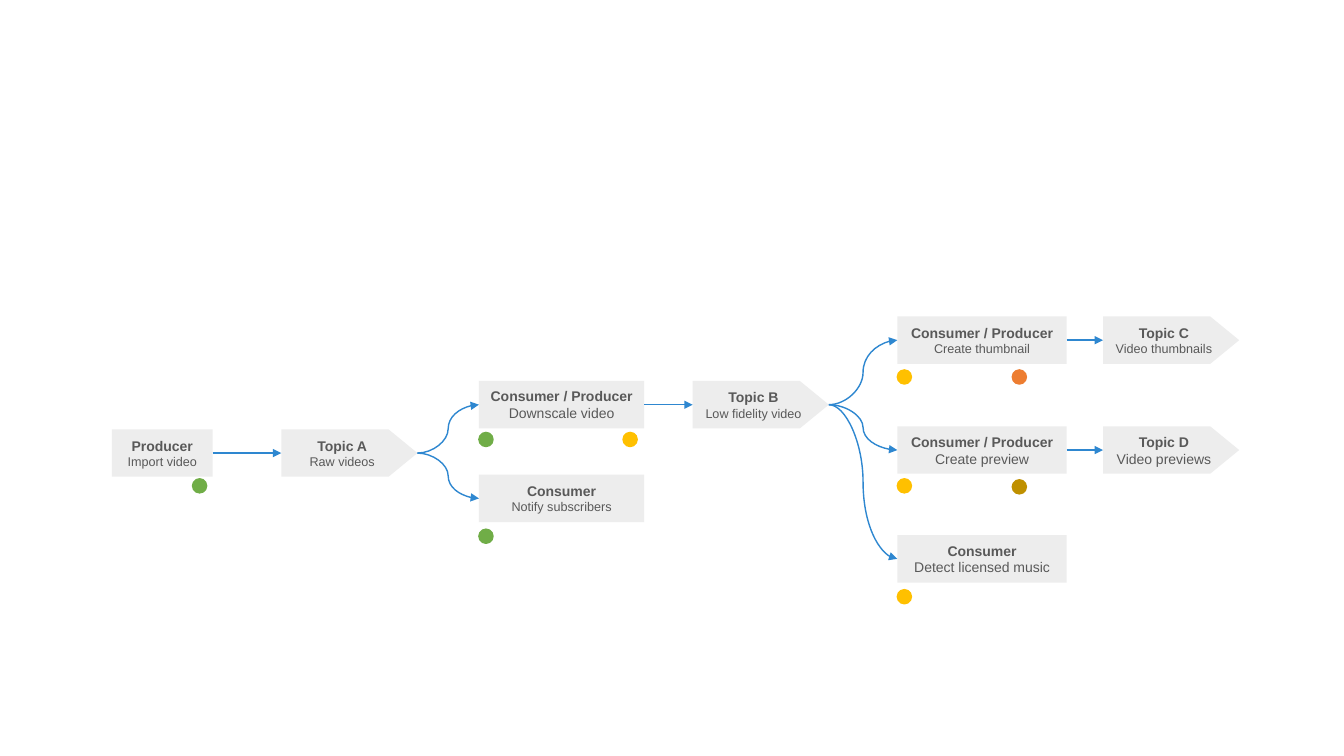
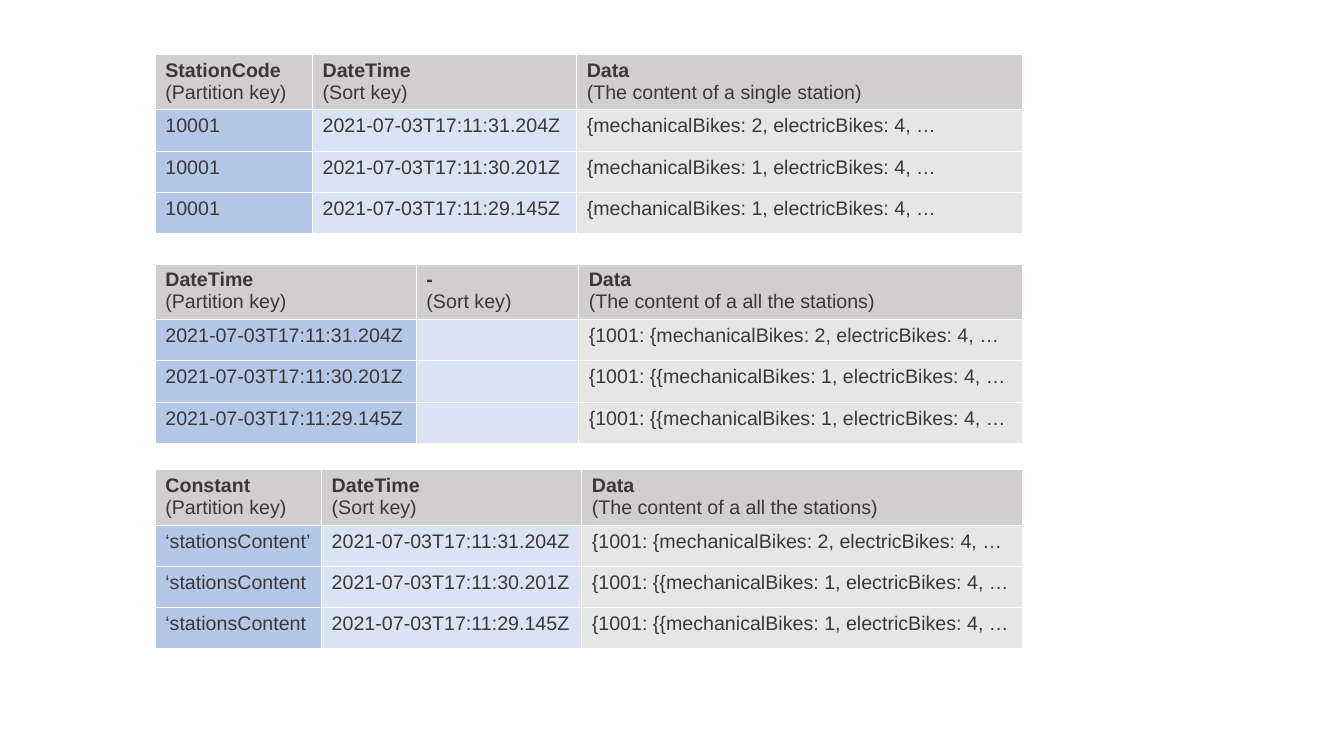
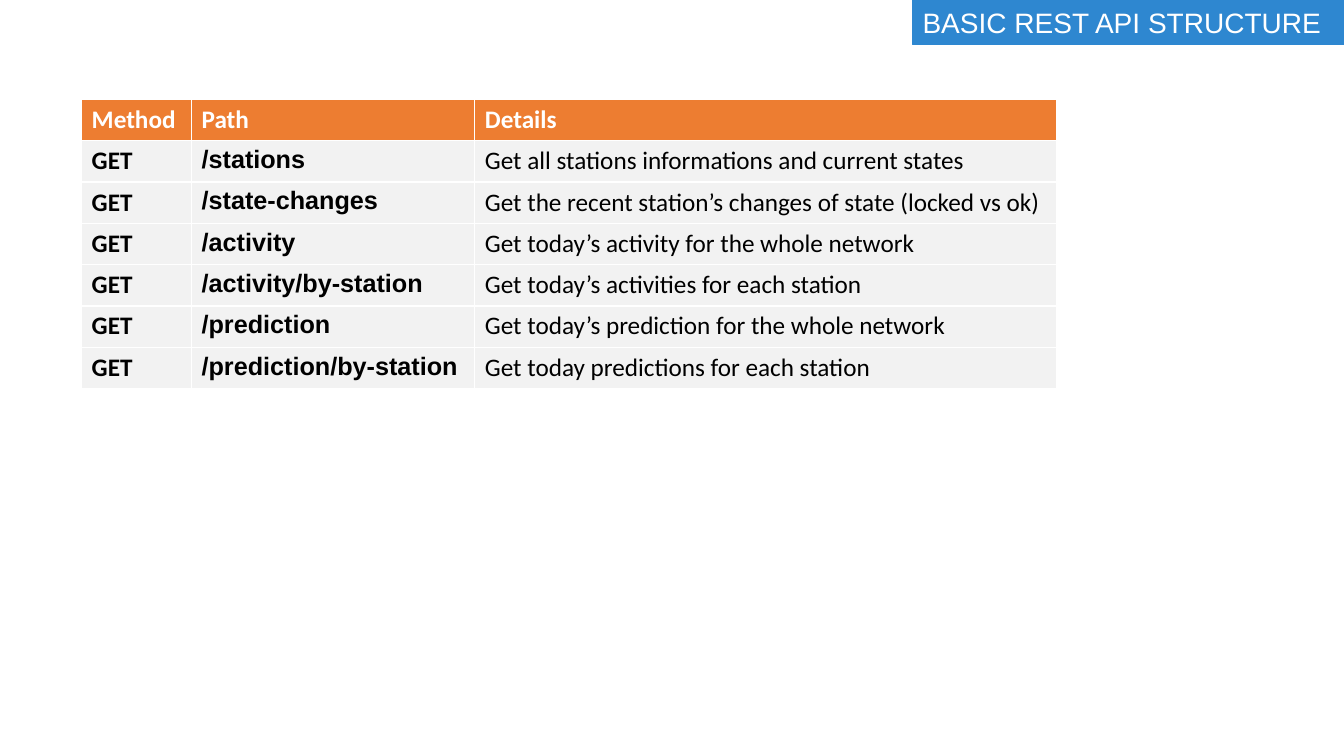
import pptx
import pptx.util
import pptx.dml.color
import pptx.enum.shapes
import pptx.enum.text
import pptx.oxml
import pptx.oxml.ns

Inches = pptx.util.Inches
Pt = pptx.util.Pt
SHAPE = pptx.enum.shapes.MSO_SHAPE
LINK = pptx.enum.shapes.MSO_CONNECTOR
ALIGN = pptx.enum.text.PP_ALIGN
ANCHOR = pptx.enum.text.MSO_ANCHOR

# Shared look
BLUE, ORANGE, WHITE, BLACK = "2E87D0", "ED7D31", "FFFFFF", "000000"
GREEN, GOLD, BROWN = "70AD47", "FFC000", "BF9000"
BOX, GRAY, DARK = "EDEDED", "595959", "3B3838"
HIGH = 0.47  # height of a flow box
ROW = 0.41   # height of a table row


def color(code):
    return pptx.dml.color.RGBColor.from_string(code)


def paint(shape, fill, edge=None):
    shape.fill.solid()
    shape.fill.fore_color.rgb = color(fill)
    if edge:
        shape.line.color.rgb = color(edge)
        shape.line.width = Pt(1)
    else:
        shape.line.fill.background()


def style(para, size, code, bold=False, face="Arial"):
    for run in para.runs:
        font = run.font
        font.name, font.size, font.bold = face, Pt(size), bold
        font.color.rgb = color(code)


# Flow diagram parts
def add_box(slide, kind, left, top, width, head, note, size):
    box = slide.shapes.add_shape(kind, Inches(left), Inches(top),
                                 Inches(width), Inches(HIGH))
    if kind == SHAPE.PENTAGON:
        box.adjustments[0] = 0.61
    box.shadow.inherit = False
    paint(box, BOX)
    frame = box.text_frame
    frame.word_wrap = True
    frame.vertical_anchor = ANCHOR.MIDDLE
    frame.text = head + "\n" + note
    for para, points, bold in zip(frame.paragraphs, (10, size), (True, False)):
        para.alignment = ALIGN.CENTER
        style(para, points, GRAY, bold)
    return box


def add_dot(slide, box, right, down, code):
    side = Inches(0.14)
    dot = slide.shapes.add_shape(SHAPE.OVAL, box.left + Inches(right),
                                 box.top + Inches(down), side, side)
    dot.shadow.inherit = False
    paint(dot, code, code)


def add_link(slide, start, end):
    # Straight on one level, curved between levels
    kind = LINK.STRAIGHT if start.top == end.top else LINK.CURVE
    link = slide.shapes.add_connector(kind, 0, 0, 0, 0)
    link.begin_connect(start, 3)
    link.end_connect(end, 1)
    link.line.color.rgb = color(BLUE)
    link.line.width = Pt(1)
    line = link.line._get_or_add_ln()
    tail = pptx.oxml.parse_xml(
        "<a:tailEnd %s type='triangle'/>" % pptx.oxml.ns.nsdecls("a"))
    line.append(tail)
    link._element.spPr.append(pptx.oxml.parse_xml(
        "<a:effectLst %s/>" % pptx.oxml.ns.nsdecls("a")))


def flow_slide(deck):
    slide = deck.slides.add_slide(deck.slide_layouts[6])
    both = "Consumer / Producer"
    step, topic = SHAPE.RECTANGLE, SHAPE.PENTAGON
    # key: kind, left, top, width, head, note, note size
    parts = {
        "load": (step, 1.11, 4.26, 1, "Producer", "Import video", 9),
        "A": (topic, 2.79, 4.26, 1.35, "Topic A", "Raw videos", 9),
        "scale": (step, 4.75, 3.78, 1.64, both, "Downscale video", 10),
        "tell": (step, 4.75, 4.71, 1.64, "Consumer", "Notify subscribers", 9),
        "B": (topic, 6.87, 3.78, 1.35, "Topic B", "Low fidelity video", 9),
        "thumb": (step, 8.9, 3.14, 1.68, both, "Create thumbnail", 9),
        "view": (step, 8.9, 4.23, 1.68, both, "Create preview", 10),
        "music": (step, 8.9, 5.31, 1.68, "Consumer",
                  "Detect licensed music", 10),
        "C": (topic, 10.94, 3.14, 1.35, "Topic C", "Video thumbnails", 9),
        "D": (topic, 10.94, 4.23, 1.35, "Topic D", "Video previews", 10),
    }
    boxes = {key: add_box(slide, *part) for key, part in parts.items()}
    # Arrows
    for start, ends in (("load", "A"), ("A", "scale tell"), ("scale", "B"),
                        ("B", "thumb view music"), ("thumb", "C"),
                        ("view", "D")):
        for end in ends.split():
            add_link(slide, boxes[start], boxes[end])
    # Dots, offset from their box
    for key, right, down, code in (
            ("load", 0.8, 0.49, GREEN),
            ("scale", 0, 0.51, GREEN), ("scale", 1.43, 0.51, GOLD),
            ("tell", 0, 0.54, GREEN),
            ("thumb", 0, 0.53, GOLD), ("thumb", 1.14, 0.53, ORANGE),
            ("view", 0, 0.52, GOLD), ("view", 1.14, 0.53, BROWN),
            ("music", 0, 0.54, GOLD)):
        add_dot(slide, boxes[key], right, down, code)


# Tables: the default style draws the white rules
def add_grid(slide, left, top, widths, first, rows, fills, dress):
    high = first + ROW * (len(rows) - 1)
    grid = slide.shapes.add_table(len(rows), len(widths), Inches(left),
                                  Inches(top), Inches(sum(widths)),
                                  Inches(high)).table
    grid.horz_banding = False
    for col, width in zip(grid.columns, widths):
        col.width = Inches(width)
    for r, texts in enumerate(rows):
        grid.rows[r].height = Inches(ROW if r else first)
        for c, text in enumerate(texts):
            cell = grid.cell(r, c)
            cell.fill.solid()
            cell.fill.fore_color.rgb = color(fills[c + 1] if r else fills[0])
            cell.text_frame.text = text
            for p, para in enumerate(cell.text_frame.paragraphs):
                style(para, *dress(r, c, p))


def key_dress(r, c, p):
    return 14, DARK, r == 0 and p == 0


def key_slide(deck):
    slide = deck.slides.add_slide(deck.slide_layouts[6])
    times = ["2021-07-03T17:11:" + t for t in ("31.204Z", "30.201Z", "29.145Z")]
    tail = "mechanicalBikes: %d, electricBikes: 4, …"
    one = ["{" + tail % n for n in (2, 1, 1)]
    every = [lead + tail % n for lead, n in
             (("{1001: {", 2), ("{1001: {{", 1), ("{1001: {{", 1))]
    names = ["‘stationsContent’", "‘stationsContent", "‘stationsContent"]
    whole = "The content of a all the stations"
    # top, widths, key names, data note, columns
    for top, widths, heads, note, cols in (
            (0.54, (1.56, 2.62, 4.42), ("StationCode", "DateTime"),
             "The content of a single station", (["10001"] * 3, times, one)),
            (2.62, (2.59, 1.61, 4.4), ("DateTime", "-"),
             whole, (times, [""] * 3, every)),
            (4.66, (1.65, 2.58, 4.37), ("Constant", "DateTime"),
             whole, (names, times, every))):
        head = (heads[0] + "\n(Partition key)", heads[1] + "\n(Sort key)",
                "Data\n(" + note + ")")
        add_grid(slide, 1.54, top, widths, 0.55, [head, *zip(*cols)],
                 ("D0CECE", "B4C7E7", "DAE3F3", "E7E6E6"), key_dress)


def add_title(slide, text):
    title = slide.shapes.title
    title.left, title.top = Inches(9.05), Inches(0)
    title.width, title.height = Inches(4.28), Inches(0.44)
    paint(title, BLUE, BLUE)
    frame = title.text_frame
    frame.text = text
    frame.word_wrap = True
    frame.auto_size = pptx.enum.text.MSO_AUTO_SIZE.NONE
    frame.vertical_anchor = ANCHOR.MIDDLE
    frame.paragraphs[0].alignment = ALIGN.LEFT
    style(frame.paragraphs[0], 20, WHITE)


def rest_dress(r, c, p):
    return (18, BLACK if r else WHITE, r == 0 or c < 2,
            "Arial" if r and c == 1 else "Calibri")


def rest_slide(deck):
    slide = deck.slides.add_slide(deck.slide_layouts[5])
    add_title(slide, "BASIC REST API STRUCTURE")
    calls = (
        ("stations", "Get all stations informations and current states"),
        ("state-changes",
         "Get the recent station’s changes of state (locked vs ok)"),
        ("activity", "Get today’s activity for the whole network"),
        ("activity/by-station", "Get today’s activities for each station"),
        ("prediction", "Get today’s prediction for the whole network"),
        ("prediction/by-station", "Get today predictions for each station"),
    )
    rows = [("Method", "Path", "Details")]
    rows += [("GET", "/" + name, note) for name, note in calls]
    add_grid(slide, 0.81, 0.99, (1.09, 2.81, 5.77), 0.36, rows,
             (ORANGE, "F2F2F2", "F2F2F2", "F2F2F2"), rest_dress)


def main():
    deck = pptx.Presentation()
    deck.slide_width, deck.slide_height = Inches(13.33), Inches(7.5)
    flow_slide(deck)
    key_slide(deck)
    rest_slide(deck)
    deck.save("out.pptx")


if __name__ == "__main__":
    main()
